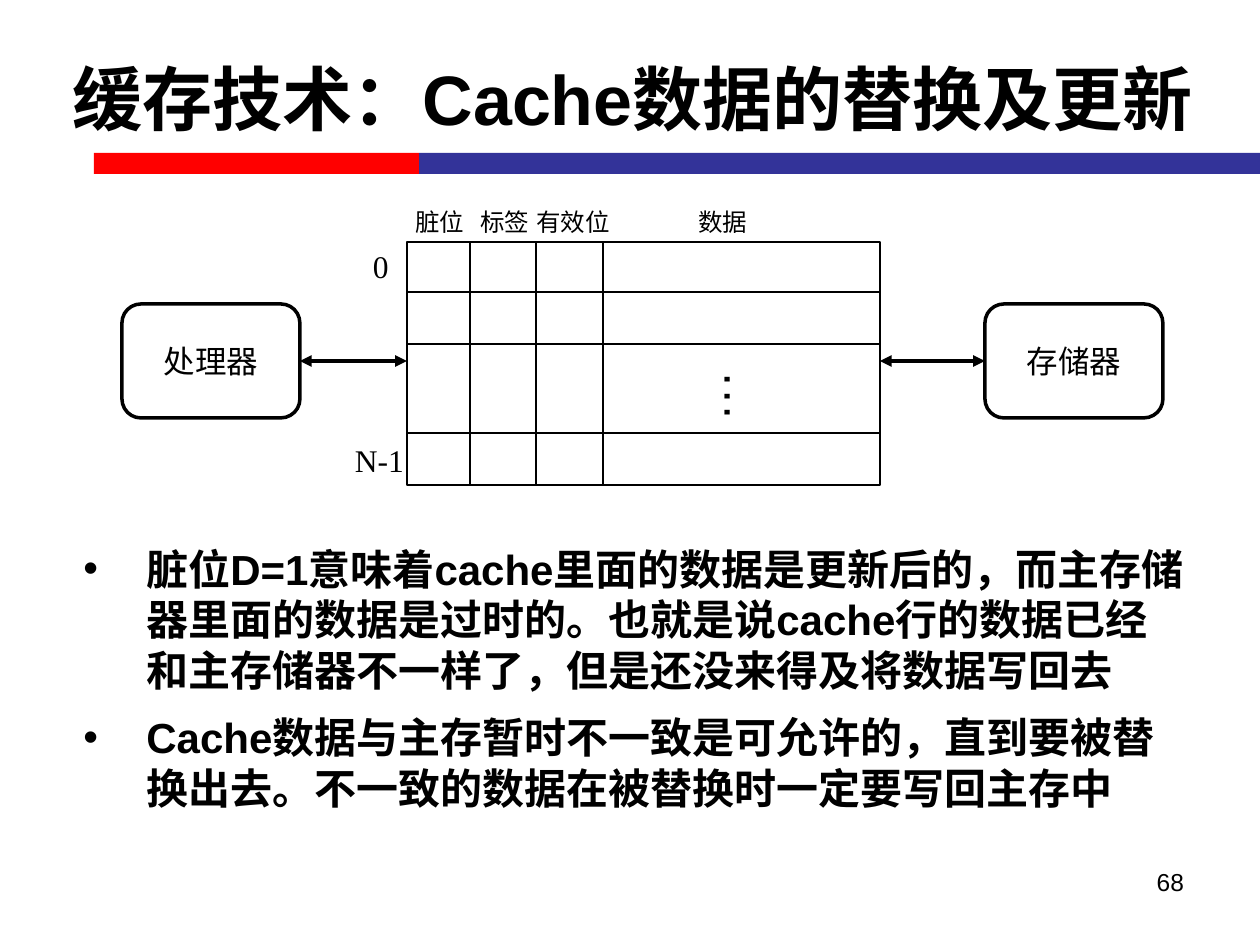
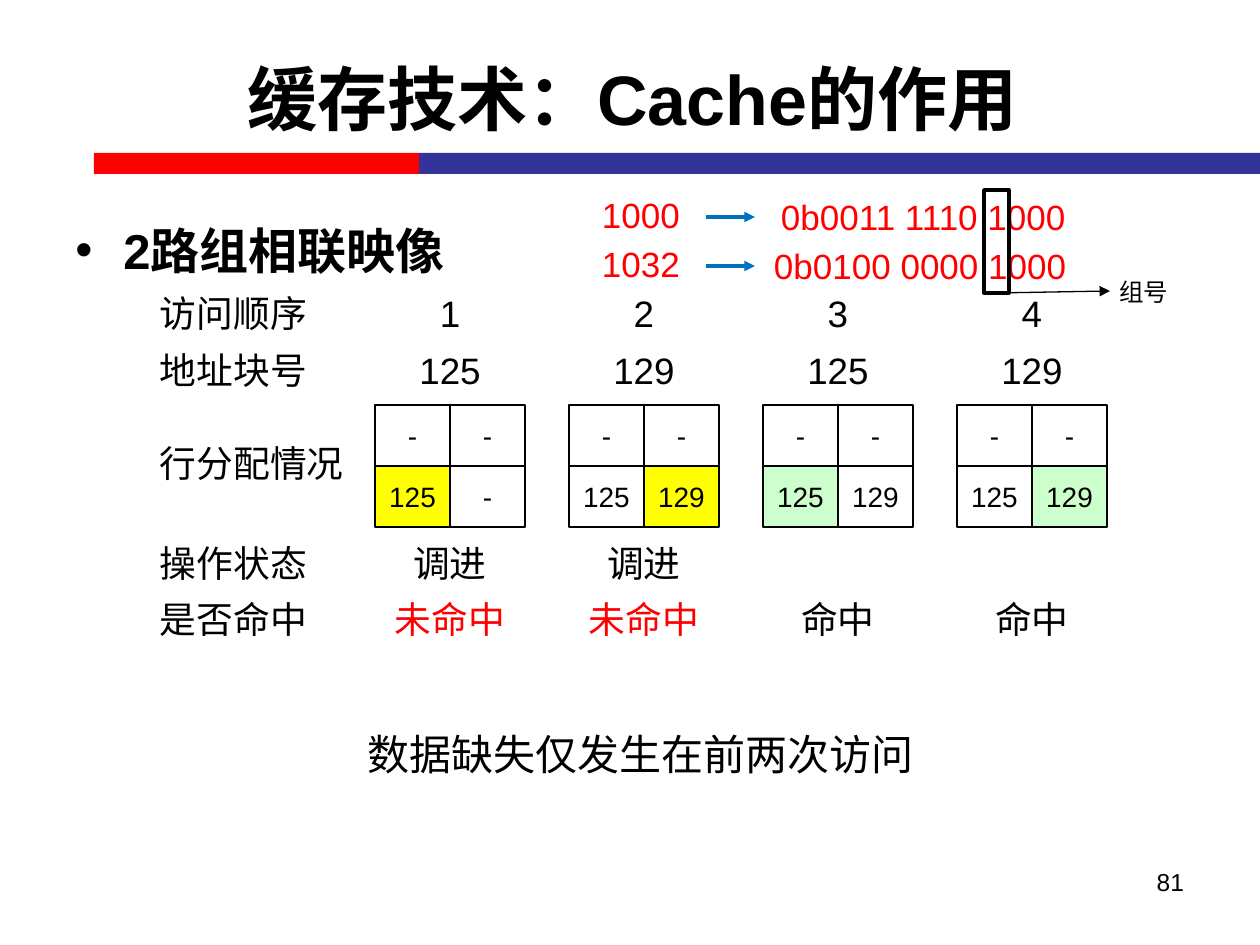
from lxml import etree
from pptx import Presentation
from pptx import util as u
from pptx.dml.color import RGBColor
from pptx.enum import shapes, text
from pptx.oxml import ns

# Shared style
BLACK = RGBColor(0, 0, 0)
WHITE = RGBColor(255, 255, 255)
RED = RGBColor(255, 0, 0)
BAND_BLUE = RGBColor(0x33, 0x33, 0x99)
ARROW_BLUE = RGBColor(0, 0x70, 0xC0)
LOADED = RGBColor(255, 255, 0)
HIT = RGBColor(0xCC, 0xFF, 0xCC)
LATIN, CJK, SERIF = "Arial", "Noto Sans CJK SC", "Times New Roman"
LEFT, CENTER, RIGHT = text.PP_ALIGN.LEFT, text.PP_ALIGN.CENTER, text.PP_ALIGN.RIGHT
RECT, ROUNDED = shapes.MSO_SHAPE.RECTANGLE, shapes.MSO_SHAPE.ROUNDED_RECTANGLE
TITLE_BOX = (20, 19, 1225, 157)
NUMBER_BOX = (903, 861, 294, 66)
BANDS = [((94, 153, 325, 21), RED), ((419, 153, 841, 21), BAND_BLUE)]

# Slide 1 content
UPDATE_TITLE = "缓存技术：Cache数据的替换及更新"
UPDATE_POINTS = [
    "脏位D=1意味着cache里面的数据是更新后的，而主存储器里面的数据是过时的。"
    "也就是说cache行的数据已经和主存储器不一样了，但是还没来得及将数据写回去",
    "Cache数据与主存暂时不一致是可允许的，直到要被替换出去。"
    "不一致的数据在被替换时一定要写回主存中",
]
CACHE = (407, 242, 473, 243)
ROW_LINES = [292, 344, 433]
COLUMN_LINES = [470, 536, 603]
# heading and its centre
FIELD_LABELS = [("脏位", 440), ("标签", 505), ("有效位", 573), ("数据", 723)]
FIELD_LABEL_W = 110
LINE_LABELS = [("0", (359, 239, 44, 52)), ("N-1", (341, 433, 78, 52))]
UNIT_Y, UNIT_W, UNIT_H = 304, 178, 114
PROCESSOR_X, MEMORY_X = 122, 985

# Slide 2 content
ROLE_TITLE = "缓存技术：Cache的作用"
MAPPING = "2路组相联映像"
CONCLUSION = "数据缺失仅发生在前两次访问"
ROW_LABELS = [("访问顺序", 291), ("地址块号", 348), ("行分配情况", 441),
              ("操作状态", 541), ("是否命中", 597)]
ORDER_Y, BLOCK_Y, _, STATE_Y, RESULT_Y = [y for _, y in ROW_LABELS]
# block, second line of the cache set, newly used way, colour, state, result, result colour
ACCESSES = [
    ("125", ("125", "-"), 0, LOADED, "调进", "未命中", RED),
    ("129", ("125", "129"), 1, LOADED, "调进", "未命中", RED),
    ("125", ("125", "129"), 0, HIT, "", "命中", BLACK),
    ("129", ("125", "129"), 1, HIT, "", "命中", BLACK),
]
ACCESS_X, ACCESS_PITCH, SET_Y = 375, 194, 405
CELL_W, CELL_H = 75, 61
# decimal, its top, binary, its left and top, arrow height
ADDRESSES = [("1000", 187, "0b0011 1110 1000", 768, 189, 217),
             ("1032", 236, "0b0100 0000 1000", 761, 238, 266)]


def px(value):
    return round(value * 914400 / 126)


def add_run(paragraph, words, size, font=LATIN, color=BLACK, bold=False):
    run = paragraph.add_run()
    run.text = words
    run.font.size = u.Pt(size)
    run.font.bold = bold
    run.font.color.rgb = color
    run.font.name = font
    east_asian = etree.SubElement(run.font._element, ns.qn("a:ea"))
    east_asian.set("typeface", CJK)


def add_text(slide, box, words, size, font=LATIN, color=BLACK, align=LEFT,
             inset=(13, 6), wrap=True):
    label = slide.shapes.add_textbox(*map(px, box))
    frame = label.text_frame
    frame.word_wrap = wrap
    frame.margin_left = frame.margin_right = px(inset[0])
    frame.margin_top = frame.margin_bottom = px(inset[1])
    frame.paragraphs[0].alignment = align
    add_run(frame.paragraphs[0], words, size, font, color)
    return label


def add_bullets(slide, box, points, size, indent):
    frame = slide.shapes.add_textbox(*map(px, box)).text_frame
    frame.word_wrap = True
    for i, point in enumerate(points):
        paragraph = frame.paragraphs[0] if i == 0 else frame.add_paragraph()
        properties = paragraph._p.get_or_add_pPr()
        properties.set("marL", str(px(indent[0])))
        properties.set("indent", str(-px(indent[1])))
        etree.SubElement(properties, ns.qn("a:buFont")).set("typeface", LATIN)
        etree.SubElement(properties, ns.qn("a:buChar")).set("char", "•")
        if i:
            paragraph.space_before = u.Pt(10)
        add_run(paragraph, point, size, bold=True)


def add_block(slide, box, fill=None, line=None, words="", size=18, kind=RECT):
    block = slide.shapes.add_shape(kind, *map(px, box))
    block.shadow.inherit = False
    if fill is None:
        block.fill.background()
    else:
        block.fill.solid()
        block.fill.fore_color.rgb = fill
    if line is None:
        block.line.fill.background()
    else:
        block.line.color.rgb = BLACK
        block.line.width = u.Pt(line)
    if words:
        block.text_frame.vertical_anchor = text.MSO_ANCHOR.MIDDLE
        block.text_frame.paragraphs[0].alignment = CENTER
        add_run(block.text_frame.paragraphs[0], words, size)
    return block


def add_line(slide, start, end, width, color=BLACK, heads=()):
    line = slide.shapes.add_connector(shapes.MSO_CONNECTOR.STRAIGHT,
                                      *map(px, start + end))
    line.line.color.rgb = color
    line.line.width = u.Pt(width)
    for head in heads:
        etree.SubElement(line.line._get_or_add_ln(), ns.qn(head)).set("type", "triangle")
    etree.SubElement(line._element.spPr, ns.qn("a:effectLst"))
    return line


def start_slide(deck, heading, number):
    slide = deck.slides.add_slide(deck.slide_layouts[5])
    for box, color in BANDS:
        add_block(slide, box, color)
    title = slide.shapes.title
    title.left, title.top, title.width, title.height = map(px, TITLE_BOX)
    title.text_frame.auto_size = text.MSO_AUTO_SIZE.NONE
    title.text_frame.vertical_anchor = text.MSO_ANCHOR.MIDDLE
    title.text_frame.paragraphs[0].alignment = CENTER
    add_run(title.text_frame.paragraphs[0], heading, 40, bold=True)
    add_text(slide, NUMBER_BOX, number, 14, align=RIGHT)
    return slide


def build_update_slide(deck):
    slide = start_slide(deck, UPDATE_TITLE, "68")
    add_bullets(slide, (63, 537, 1134, 285), UPDATE_POINTS, 24, (71, 63))

    # Processor, cache and memory
    processor, memory = [
        add_block(slide, (x, UNIT_Y, UNIT_W, UNIT_H), WHITE, 2, name, kind=ROUNDED)
        for x, name in ((PROCESSOR_X, "处理器"), (MEMORY_X, "存储器"))]
    left, top, width, height = CACHE
    right, bottom = left + width, top + height
    middle = UNIT_Y + UNIT_H // 2
    both_ends = ("a:headEnd", "a:tailEnd")
    add_line(slide, (PROCESSOR_X + UNIT_W, middle), (left, middle), 2.25,
             heads=both_ends).begin_connect(processor, 3)
    add_line(slide, (right, middle), (MEMORY_X, middle), 2.25,
             heads=both_ends).end_connect(memory, 1)

    # Cache lines and fields
    add_block(slide, CACHE, WHITE, 1.5)
    for y in ROW_LINES:
        add_line(slide, (left, y), (right, y), 1.5)
    for x in COLUMN_LINES:
        add_line(slide, (x, top), (x, bottom), 1.5)
    for name, center in FIELD_LABELS:
        box = (center - FIELD_LABEL_W // 2, 201, FIELD_LABEL_W, 43)
        add_text(slide, box, name, 14, CJK, align=CENTER, wrap=False)
    for name, box in LINE_LABELS:
        add_text(slide, box, name, 18, SERIF, inset=(14, 8), wrap=False)
    dots = add_text(slide, (692, 366, 84, 63), "···", 28, wrap=False)
    dots.text_frame._txBody.bodyPr.set("vert", "eaVert")


def build_role_slide(deck):
    slide = start_slide(deck, ROLE_TITLE, "81")
    add_bullets(slide, (63, 214, 989, 74), [MAPPING], 28, (48, 48))
    add_text(slide, (368, 729, 552, 50), CONCLUSION, 24, inset=(0, 0), wrap=False)
    for name, y in ROW_LABELS:
        add_text(slide, (160, y, 37 * len(name), 44), name, 21, CJK, inset=(0, 0), wrap=False)

    # One column per access
    for i, (block, second_line, way, color, state, result, result_color) in enumerate(ACCESSES):
        x = ACCESS_X + i * ACCESS_PITCH
        for row, line in enumerate((("-", "-"), second_line)):
            for column, value in enumerate(line):
                fill = color if (row, column) == (1, way) else WHITE
                cell = (x + column * CELL_W, SET_Y + row * CELL_H, CELL_W, CELL_H)
                add_block(slide, cell, fill, 1.38, value, 16)
        facts = [(str(i + 1), ORDER_Y, BLACK), (block, BLOCK_Y, BLACK),
                 (state, STATE_Y, BLACK), (result, RESULT_Y, result_color)]
        for words, y, ink in facts:
            if words:
                add_text(slide, (x, y, 2 * CELL_W, 44), words, 21, color=ink,
                         align=CENTER, inset=(0, 0))

    # Addresses in binary, with the set number framed
    for decimal, decimal_y, binary, binary_x, binary_y, arrow_y in ADDRESSES:
        add_text(slide, (589, decimal_y, 130, 55), decimal, 20, color=RED)
        add_text(slide, (binary_x, binary_y, 354, 55), binary, 20, color=RED)
        add_line(slide, (706, arrow_y), (755, arrow_y), 2, ARROW_BLUE, ("a:tailEnd",))
    set_bit = add_block(slide, (984, 190, 25, 103), line=2)
    add_line(slide, (996, 293), (1110, 291), 0.75,
             heads=("a:tailEnd",)).begin_connect(set_bit, 2)
    add_text(slide, (1095, 271, 98, 43), "组号", 14, align=CENTER)


def main():
    deck = Presentation()
    deck.slide_width, deck.slide_height = px(1260), px(945)
    build_update_slide(deck)
    build_role_slide(deck)
    deck.save("out.pptx")


if __name__ == "__main__":
    main()
